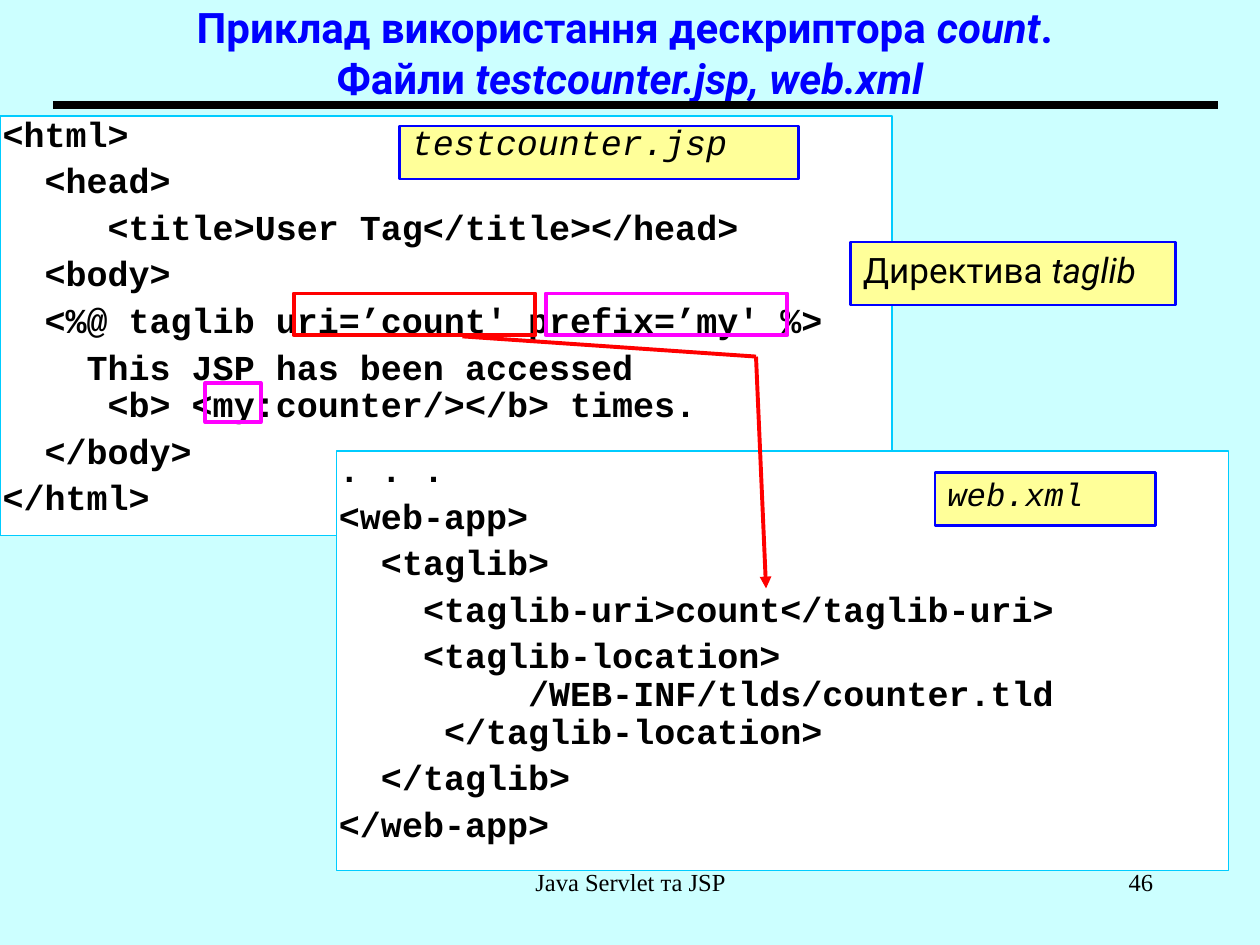
"""Build a slide on using the count tag in testcounter.jsp and web.xml."""
import copy

import pptx
import pptx.dml.color
import pptx.enum.shapes
import pptx.enum.text
import pptx.oxml.ns
import pptx.util
from lxml import etree
from pptx.util import Inches

BLACK = pptx.dml.color.RGBColor(0x00, 0x00, 0x00)
WHITE = pptx.dml.color.RGBColor(0xFF, 0xFF, 0xFF)
BLUE = pptx.dml.color.RGBColor(0x00, 0x00, 0xFF)
CYAN = pptx.dml.color.RGBColor(0x00, 0xCC, 0xFF)
PALE_CYAN = pptx.dml.color.RGBColor(0xCC, 0xFF, 0xFF)
YELLOW = pptx.dml.color.RGBColor(0xFF, 0xFF, 0x99)
RED = pptx.dml.color.RGBColor(0xFF, 0x00, 0x00)
MAGENTA = pptx.dml.color.RGBColor(0xFF, 0x00, 0xFF)
ALIGN = pptx.enum.text.PP_ALIGN
ANCHOR = pptx.enum.text.MSO_ANCHOR
RECTANGLE = pptx.enum.shapes.MSO_SHAPE.RECTANGLE
STRAIGHT = pptx.enum.shapes.MSO_CONNECTOR.STRAIGHT

JSP_CODE = [
    "<html>",
    "  <head>",
    "     <title>User Tag</title></head>",
    "  <body>",
    "  <%@ taglib uri=’count' prefix=’my' %>",
    "    This JSP has been accessed \n     <b> <my:counter/></b> times.",
    "  </body>",
    "</html>",
]
XML_CODE = [
    ". . .",
    "<web-app>",
    "  <taglib>",
    "    <taglib-uri>count</taglib-uri>",
    "    <taglib-location>\n         /WEB-INF/tlds/counter.tld\n     </taglib-location>",
    "  </taglib>",
    "</web-app>",
]


def write_text(shape, paragraphs, font="Courier New", size=20, color=BLACK, bold=False,
               align=ALIGN.LEFT, anchor=ANCHOR.TOP, spacing=1.0):
    """Fill a shape with paragraphs; text between bars is italic."""
    frame = shape.text_frame
    frame.word_wrap = True
    frame.auto_size = pptx.enum.text.MSO_AUTO_SIZE.NONE
    frame.vertical_anchor = anchor
    for index, text in enumerate(paragraphs):
        paragraph = frame.add_paragraph() if index else frame.paragraphs[0]
        paragraph.alignment = align
        paragraph.line_spacing = spacing
        paragraph.space_before = pptx.util.Pt(5 if index else 0)
        for part, piece in enumerate(text.split("|")):
            for number, line in enumerate(piece.split("\n")):
                if number:
                    paragraph.add_line_break()
                    paragraph._p[-1].append(copy.deepcopy(run._r.rPr))
                if not line:
                    continue
                run = paragraph.add_run()
                run.text = line
                run.font.name = font
                run.font.size = pptx.util.Pt(size)
                run.font.color.rgb = color
                run.font.bold = bold
                run.font.italic = part % 2 == 1


def add_box(left, top, width, height, fill, line, line_width):
    """Add a rectangle, unfilled when fill is None."""
    shape = slide.shapes.add_shape(
        RECTANGLE, Inches(left), Inches(top), Inches(width), Inches(height))
    shape.shadow.inherit = False
    if fill is None:
        shape.fill.background()
    else:
        shape.fill.solid()
        shape.fill.fore_color.rgb = fill
    shape.line.color.rgb = line
    shape.line.width = pptx.util.Pt(line_width)
    return shape


presentation = pptx.Presentation()
presentation.slide_width = Inches(10)
presentation.slide_height = Inches(7.5)
slide = presentation.slides.add_slide(presentation.slide_layouts[5])
slide.background.fill.solid()
slide.background.fill.fore_color.rgb = PALE_CYAN

title = slide.shapes.title
title.left, title.top, title.width, title.height = 0, 0, Inches(10), Inches(0.83)
write_text(title, ["Приклад використання дескриптора |count|. \nФайли| testcounter.jsp, web.xml"],
           font="Roboto", size=24, color=BLUE, bold=True,
           align=ALIGN.CENTER, anchor=ANCHOR.MIDDLE)

for left, top, code in [(0, 0.92, JSP_CODE), (2.67, 3.58, XML_CODE)]:
    panel = add_box(left, top, 7.08, 3.33, WHITE, CYAN, 1)
    panel.text_frame.margin_left = Inches(0.02)
    panel.text_frame.margin_right = 0
    panel.text_frame.margin_top = panel.text_frame.margin_bottom = Inches(0.01)
    write_text(panel, code, bold=True, spacing=0.9)

for left, top, width, height, text, font, size, spacing in [
    (3.17, 1, 3.17, 0.42, "|testcounter.jsp|", "Courier New", 20, 0.7),
    (7.42, 3.75, 1.75, 0.42, "|web.xml|", "Courier New", 18.5, 0.9),
    (6.75, 1.92, 2.58, 0.5, "Директива| taglib|", "Roboto", 20, 1.0),
]:
    label = add_box(left, top, width, height, YELLOW, BLUE, 1.5)
    write_text(label, [text], font=font, size=size, spacing=spacing)

for start_x, start_y, end_x, end_y, color, width, has_arrow in [
    (0.42, 0.83, 9.67, 0.83, BLACK, 4.5, False),
    (6, 2.83, 6.08, 4.67, RED, 2.25, True),
    (3.67, 2.67, 6, 2.83, RED, 2.25, False),
]:
    connector = slide.shapes.add_connector(
        STRAIGHT, Inches(start_x), Inches(start_y), Inches(end_x), Inches(end_y))
    connector.line.color.rgb = color
    connector.line.width = pptx.util.Pt(width)
    if has_arrow:
        etree.SubElement(connector.line._get_or_add_ln(),
                         pptx.oxml.ns.qn("a:tailEnd"), type="triangle")
    etree.SubElement(connector._element.spPr, pptx.oxml.ns.qn("a:effectLst"))

for left, top, width, height, color in [
    (4.33, 2.33, 1.92, 0.33, MAGENTA),
    (2.33, 2.33, 1.92, 0.33, RED),
    (1.63, 3.04, 0.44, 0.31, MAGENTA),
]:
    add_box(left, top, width, height, None, color, 2.25)

for left, width, text, align in [
    (3.42, 3.17, "Java Servlet та JSP", ALIGN.CENTER),
    (7.17, 2.08, "46", ALIGN.RIGHT),
]:
    footer = slide.shapes.add_textbox(Inches(left), Inches(6.83), Inches(width), Inches(0.5))
    write_text(footer, [text], font="Times New Roman", size=14, align=align)

presentation.save("out.pptx")
